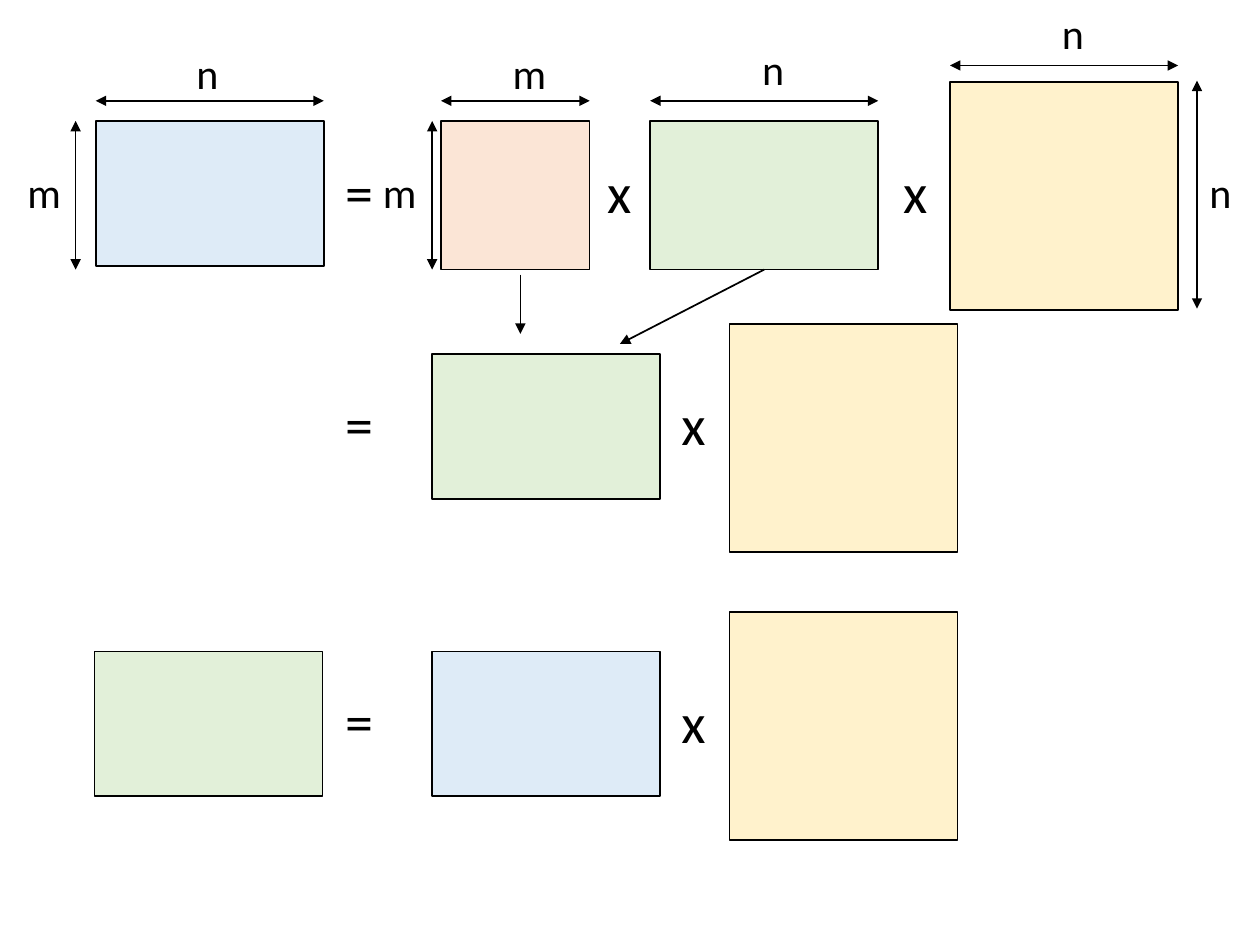
from pptx import Presentation
from pptx.dml.color import RGBColor
from pptx.enum.shapes import MSO_CONNECTOR, MSO_SHAPE
from pptx.enum.text import MSO_AUTO_SIZE
from pptx.oxml.ns import qn
from pptx.util import Inches, Pt
from lxml import etree

RECTANGLE = MSO_SHAPE.RECTANGLE
STRAIGHT = MSO_CONNECTOR.STRAIGHT
FIT_TEXT = MSO_AUTO_SIZE.SHAPE_TO_FIT_TEXT

COLOURS = {
    "ink": "000000",
    "blue": "DEEBF7",
    "orange": "FBE5D6",
    "green": "E2F0D9",
    "yellow": "FFF2CC",
}
COLUMNS, ROWS = 100, 75
WIDTH, HEIGHT = Inches(10), Inches(7.5)
LONG, SHORT, LOW = 18.1, 11.8, 11.5
LABEL_WIDTHS = {"m": 4.7, "n": 3.8}


def across(columns):
    return round(WIDTH * columns / COLUMNS)


def down(rows):
    return round(HEIGHT * rows / ROWS)


def add_text(page, text, left, top, width, height, size=24, wrap=False):
    box = page.shapes.add_textbox(across(left), down(top), across(width), down(height))
    frame = box.text_frame
    frame.word_wrap = wrap
    frame.auto_size = FIT_TEXT
    span = frame.paragraphs[0].add_run()
    span.text = text
    span.font.name = "Calibri"
    span.font.size = Pt(size)
    span.font.color.rgb = RGBColor.from_string(COLOURS["ink"])


def add_label(page, text, left, top):
    add_text(page, text, left, top, LABEL_WIDTHS[text], 5)


def add_equals(page, left, top):
    add_text(page, "=", left, top, 4.3, 6.4, size=32)


def add_times(page, left, top, width=4.5, wrap=True):
    add_text(page, "x", left, top, width, 6.4, size=32, wrap=wrap)


def add_matrix(page, colour, left, top, width, height):
    matrix = page.shapes.add_shape(
        RECTANGLE, across(left), down(top), across(width), down(height)
    )
    matrix.shadow.inherit = False
    matrix.fill.solid()
    matrix.fill.fore_color.rgb = RGBColor.from_string(COLOURS[colour])
    matrix.line.color.rgb = RGBColor.from_string(COLOURS["ink"])
    matrix.line.width = Pt(1)
    return matrix


def add_arrow(page, start, end, both=False):
    arrow = page.shapes.add_connector(
        STRAIGHT, across(start[0]), down(start[1]), across(end[0]), down(end[1])
    )
    arrow.line.color.rgb = RGBColor.from_string(COLOURS["ink"])
    arrow.line.width = Pt(1)
    outline = arrow.line._get_or_add_ln()
    for tip in ("a:headEnd", "a:tailEnd") if both else ("a:tailEnd",):
        etree.SubElement(outline, qn(tip), type="triangle")
    etree.SubElement(arrow._element.spPr, qn("a:effectLst"))
    return arrow


def add_width(page, text, left, top, length, label_left, label_rise):
    add_arrow(page, (left, top), (left + length, top), both=True)
    add_label(page, text, left + label_left, top - label_rise)


def add_height(page, text, left, top, length, label_left, label_top):
    add_arrow(page, (left, top), (left, top + length), both=True)
    add_label(page, text, left + label_left, top + label_top)


def draw_factors(page, left, top):
    ruler = top - 1.6
    add_matrix(page, "blue", left, top, LONG, LOW)
    add_matrix(page, "orange", left + 27.4, top, SHORT, SHORT)
    middle = add_matrix(page, "green", left + 44, top, LONG, SHORT)
    add_matrix(page, "yellow", left + 67.8, top - 3.1, LONG, LONG)

    add_equals(page, left + 18.8, top + 2.4)
    add_times(page, left + 39.6, top + 2.4, width=4, wrap=False)
    add_times(page, left + 63.1, top + 2.4)

    add_width(page, "n", left, ruler, LONG, 7, 4.7)
    add_width(page, "m", left + 27.4, ruler, SHORT, 4.7, 4.7)
    add_width(page, "n", left + 44, ruler, LONG, 7.9, 5)
    add_width(page, "n", left + 67.8, top - 4.4, LONG, 7.9, 5.1)
    add_height(page, "m", left - 1.6, top, SHORT, -4.8, 3.1)
    add_height(page, "m", left + 26.7, top, SHORT, -4.9, 3.1)
    add_height(page, "n", left + 87.4, top - 3.2, LONG, 0, 6.3)
    return middle


def draw_product(page, colour, left, top, square_rise):
    add_equals(page, left - 7.9, top + 2.3)
    add_matrix(page, colour, left, top, LONG, LOW)
    add_times(page, left + 18.8, top + 2.35)
    add_matrix(page, "yellow", left + 23.6, top - square_rise, LONG, LONG)


def draw_merging(page, middle, left, top):
    add_arrow(page, (left, top), (left, top + 4.7))
    merge = add_arrow(page, (left + 19.3, top - 0.4), (left + 7.9, top + 5.5))
    merge.begin_connect(middle, 2)


def main():
    deck = Presentation()
    deck.slide_width, deck.slide_height = WIDTH, HEIGHT
    page = deck.slides.add_slide(deck.slide_layouts[6])
    middle = draw_factors(page, 7.6, 9.6)
    draw_merging(page, middle, 41.3, 21.8)
    draw_product(page, "green", 34.3, 28.1, 2.4)
    draw_product(page, "blue", 34.3, 51.7, 3.1)
    add_matrix(page, "green", 7.5, 51.7, LONG, LOW)
    deck.save("out.pptx")


if __name__ == "__main__":
    main()
